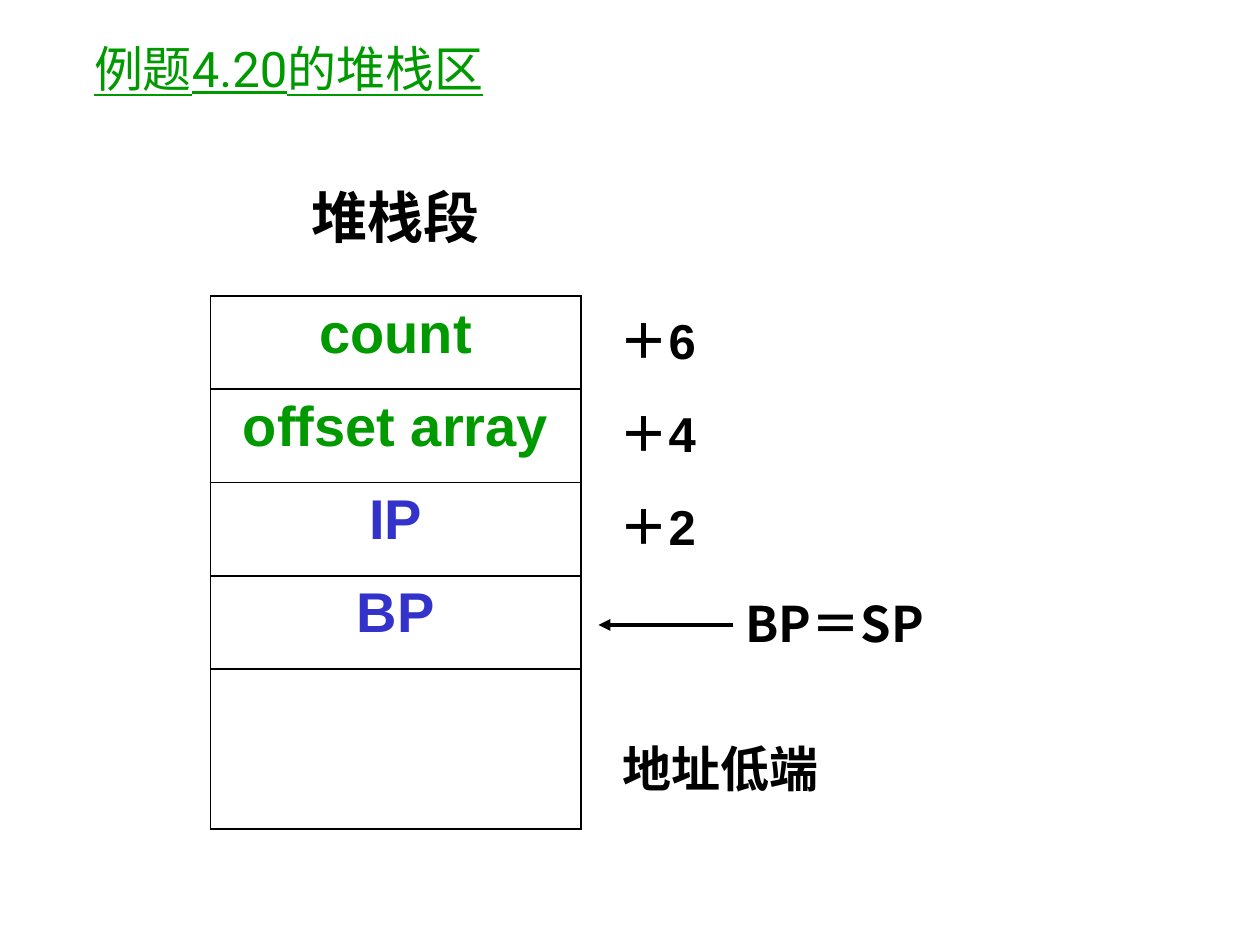
from typing import NamedTuple

from lxml import etree
from pptx import Presentation
from pptx import util as u
from pptx.dml.color import RGBColor
from pptx.enum import shapes, text
from pptx.oxml.ns import qn

INK = {"black": "000000", "green": "009900", "blue": "3333CC"}
PLAIN = "{2D5ABB26-0587-4C30-8999-92F81FD0307C}"  # no style, no grid
EDGES = "LRTB"


class Row(NamedTuple):
    height: float
    entry: str = ""
    ink: str = "black"
    offset: str = ""
    edges: str = EDGES


class Label(NamedTuple):
    words: str
    left: float
    top: float
    width: float
    face: str


ROWS = [
    Row(1.02, "堆栈段", edges="B"),
    Row(0.74, "count", "green", "＋6"),
    Row(0.74, "offset array", "green", "＋4"),
    Row(0.74, "IP", "blue", "＋2"),
    Row(0.74, "BP", "blue"),
    Row(1.27),
]
BASE = Label("BP＝SP", 5.82, 4.66, 1.74, "Noto Sans CJK SC")
LOW = Label("地址低端", 4.84, 5.81, 1.75, "Arial")


def style(para, size: float, ink: str, face: str = "Arial", bold: bool = True) -> None:
    font = para.font
    font.size, font.name, font.bold = u.Pt(size), face, bold
    font.color.rgb = RGBColor.from_string(INK[ink])


def border(cell, edges: str) -> None:
    props = cell._tc.get_or_add_tcPr()
    for spot, edge in enumerate(EDGES):
        line = etree.Element(qn(f"a:ln{edge}"), w=str(u.Pt(1.08)))
        if edge in edges:
            fill = etree.SubElement(line, qn("a:solidFill"))
            etree.SubElement(fill, qn("a:srgbClr"), val=INK["black"])
        else:
            etree.SubElement(line, qn("a:noFill"))
        props.insert(spot, line)


def fill_cell(cell, words: str, size: float, ink: str, edges: str) -> None:
    cell.fill.background()
    border(cell, edges)
    if words:
        cell.text = words
        para = cell.text_frame.paragraphs[0]
        para.alignment = text.PP_ALIGN.CENTER
        style(para, size, ink)


def add_label(slide, label: Label):
    box = slide.shapes.add_textbox(
        u.Inches(label.left), u.Inches(label.top), u.Inches(label.width), u.Inches(0.6))
    frame = box.text_frame
    frame.word_wrap = True
    frame.text = label.words
    style(frame.paragraphs[0], 28, "black", label.face)
    return box


def add_stack(slide) -> None:
    frame = slide.shapes.add_table(
        len(ROWS), 2, u.Inches(1.67), u.Inches(1.33), u.Inches(4.16),
        u.Inches(sum(row.height for row in ROWS)))
    table = frame.table
    table.first_row = table.horz_banding = False
    table._tbl.tblPr.find(qn("a:tableStyleId")).text = PLAIN
    for col, width in zip(table.columns, (2.94, 1.22)):
        col.width = u.Inches(width)
    for i, row in enumerate(ROWS):
        table.rows[i].height = u.Inches(row.height)
        fill_cell(table.cell(i, 0), row.entry, 32, row.ink, row.edges)
        fill_cell(table.cell(i, 1), row.offset, 28, "black", "L" if i else "")


def add_arrow(slide, box, tip: float) -> None:
    mid = box.top + box.height // 2
    arrow = slide.shapes.add_connector(
        shapes.MSO_CONNECTOR.STRAIGHT, box.left, mid, u.Inches(tip), mid)
    arrow.begin_connect(box, 1)
    arrow.line.width = u.Pt(2.25)
    arrow.line.color.rgb = RGBColor.from_string(INK["black"])
    etree.SubElement(arrow.line._get_or_add_ln(), qn("a:tailEnd"), type="triangle")
    etree.SubElement(arrow._element.spPr, qn("a:effectLst"))


def main() -> None:
    deck = Presentation()
    deck.slide_width, deck.slide_height = u.Inches(10), u.Inches(7.5)
    slide = deck.slides.add_slide(deck.slide_layouts[5])

    # Title
    title = slide.shapes.title
    title.left, title.top = u.Inches(0.25), u.Inches(0.08)
    title.width, title.height = u.Inches(4.08), u.Inches(0.92)
    frame = title.text_frame
    frame.text = "例题4.20的堆栈区"
    frame.auto_size = text.MSO_AUTO_SIZE.NONE
    frame.vertical_anchor = text.MSO_ANCHOR.MIDDLE
    head = frame.paragraphs[0]
    head.alignment = text.PP_ALIGN.CENTER
    style(head, 28, "green", "Roboto", False)
    head.font.underline = True

    # Stack segment with its offsets
    add_stack(slide)

    # Pointer and low end of memory
    add_arrow(slide, add_label(slide, BASE), 4.75)
    add_label(slide, LOW)

    deck.save("out.pptx")


if __name__ == "__main__":
    main()
